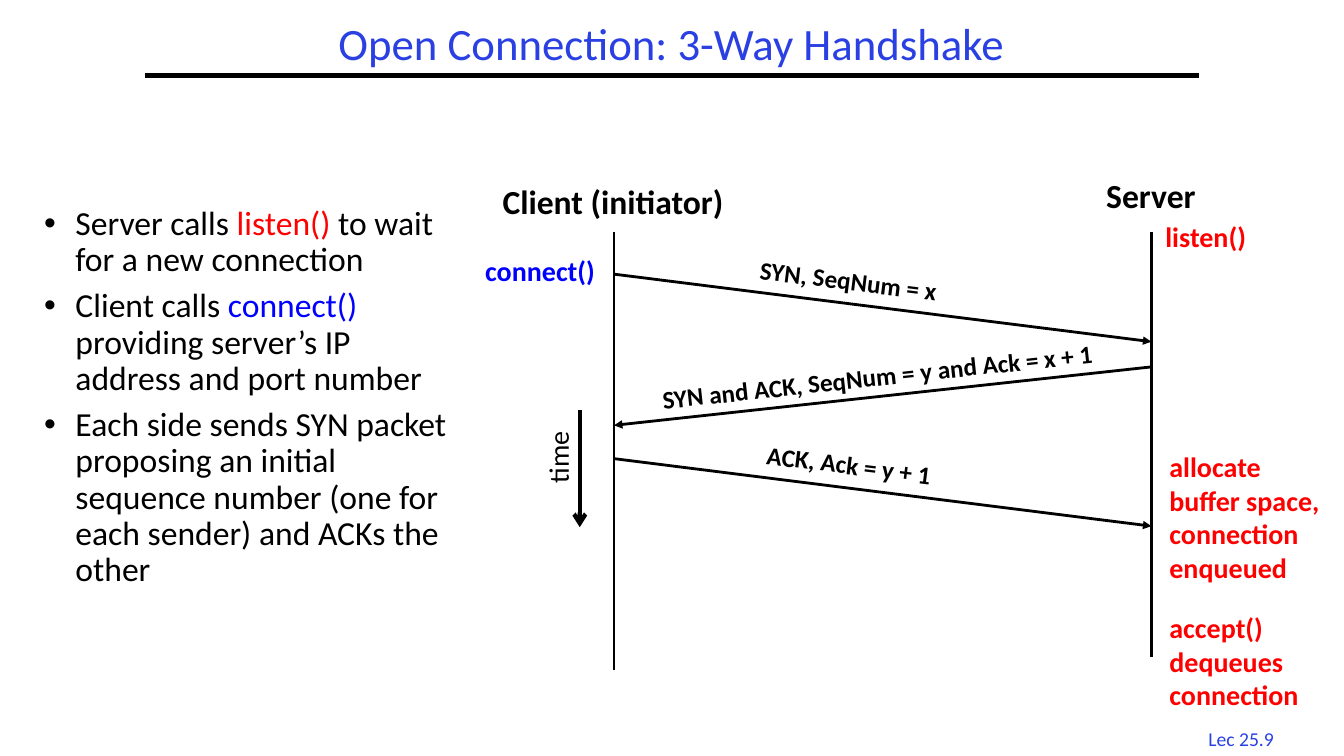
import pptx
import pptx.util
import pptx.dml.color
import pptx.enum.shapes
import pptx.enum.text
import pptx.oxml
import pptx.oxml.ns

Inches = pptx.util.Inches
Pt = pptx.util.Pt
ALIGN = pptx.enum.text.PP_ALIGN
COLORS = {"black": "000000", "red": "FF0000", "blue": "0000FF", "title": "2A40E2"}
CLIENT, SERVER = 6.09, 11.42


def color(name):
    """Return the named colour."""
    return pptx.dml.color.RGBColor.from_string(COLORS[name])


def add_xml(parent, tag, **attrs):
    """Append a drawing element to its parent."""
    node = pptx.oxml.parse_xml(f"<a:{tag} {pptx.oxml.ns.nsdecls('a')}/>")
    for key, value in attrs.items():
        node.set(key, value)
    parent.append(node)


def set_font(font, size, tint, bold=False):
    """Set face, size, colour and weight."""
    font.name, font.size, font.bold = "Calibri", Pt(size), bold
    font.color.rgb = color(tint)


def add_line(slide, start, end, width=2, head=None):
    """Draw a straight line, with an arrowhead if one is named."""
    points = [Inches(n) for n in start + end]
    line = slide.shapes.add_connector(pptx.enum.shapes.MSO_CONNECTOR.STRAIGHT, *points)
    line.line.color.rgb = color("black")
    line.line.width = Pt(width)
    if head:
        add_xml(line.line._get_or_add_ln(), "tailEnd", type=head)
    add_xml(line._element.spPr, "effectLst")


def add_label(slide, text, box, size, tint="black", bold=True,
              align=ALIGN.LEFT, turn=0, wrap=False):
    """Place a text label."""
    label = slide.shapes.add_textbox(*[Inches(n) for n in box])
    label.rotation = turn
    frame = label.text_frame
    frame.word_wrap = wrap
    frame.text = text
    for para in frame.paragraphs:
        para.alignment = align
        set_font(para.font, size, tint, bold)


def add_title(slide, text):
    """Fill the title and draw the rule below it."""
    title = slide.shapes.title
    title.left, title.top, title.width, title.height = [
        Inches(n) for n in (1.44, 0.17, 10.44, 0.58)]
    frame = title.text_frame
    frame.text = text
    frame.auto_size = pptx.enum.text.MSO_AUTO_SIZE.NONE
    frame.vertical_anchor = pptx.enum.text.MSO_ANCHOR.MIDDLE
    para = frame.paragraphs[0]
    para.alignment = ALIGN.CENTER
    para.line_spacing = 0.9
    set_font(para.font, 32, "title")
    add_line(slide, (1.44, 0.75), (11.89, 0.75), 3)


def add_list(slide, items, box):
    """Add bullets made of coloured runs."""
    frame = slide.shapes.add_textbox(*[Inches(n) for n in box]).text_frame
    frame.word_wrap = True
    for i, runs in enumerate(items):
        para = frame.add_paragraph() if i else frame.paragraphs[0]
        props = para._p.get_or_add_pPr()
        props.set("marL", str(Inches(0.31)))
        props.set("indent", str(-Inches(0.31)))
        para.line_spacing = 0.9
        para.space_before = Pt(7 if i else 0)
        add_xml(props, "buFont", typeface="Arial")
        add_xml(props, "buChar", char="•")
        set_font(para.font, 24, "black")
        for text, tint in runs:
            run = para.add_run()
            run.text = text
            set_font(run.font, 24, tint)


def main():
    """Build the handshake slide."""
    deck = pptx.Presentation()
    deck.slide_width, deck.slide_height = Inches(13.33), Inches(7.5)
    slide = deck.slides.add_slide(deck.slide_layouts.get_by_name("Title Only"))
    add_title(slide, "Open Connection: 3-Way Handshake")
    add_label(slide, "Lec 25.9", (11.77, 7.16, 1.08, 0.33), 14, "title", False, ALIGN.CENTER)
    add_list(slide, [
        [("Server calls ", "black"), ("listen() ", "red"),
         ("to wait for a new connection", "black")],
        [("Client calls ", "black"), ("connect() ", "blue"),
         ("providing server’s IP address and port number", "black")],
        [("Each side sends SYN packet proposing an initial sequence number "
          "(one for each sender) and ACKs the other", "black")],
    ], (0.34, 2, 4.22, 4.76))

    for text, box, x, foot in [
        ("Client (initiator)", (4.74, 1.75, 2.68, 0.5), CLIENT, 6.65),
        ("Server", (10.79, 1.69, 1.25, 0.5), SERVER, 6.52),
    ]:
        add_line(slide, (x, 2.3), (x, foot))
        add_label(slide, text, box, 24, align=ALIGN.CENTER)

    for text, start, end, box, turn in [
        ("SYN, SeqNum = x", (CLIENT, 2.72), (SERVER, 3.39), (7.26, 2.58, 2.31, 0.4), 7.2),
        ("SYN and ACK, SeqNum = y and Ack = x + 1", (SERVER, 3.64), (CLIENT, 4.22),
         (6.03, 3.53, 5.34, 0.4), 353.7),
        ("ACK, Ack = y + 1", (CLIENT, 4.55), (SERVER, 5.22), (7.32, 4.41, 2.2, 0.4), 7.2),
    ]:
        add_line(slide, start, end, head="triangle")
        add_label(slide, text, box, 18, align=ALIGN.CENTER, turn=turn)

    add_label(slide, "connect()", (4.54, 2.47, 1.46, 0.43), 20, "blue", align=ALIGN.RIGHT)
    add_label(slide, "listen()", (11.46, 2.13, 1.12, 0.43), 20, "red")
    add_label(slide, "allocate\vbuffer space,\nconnection\venqueued",
              (11.5, 4.41, 1.94, 1.44), 20, "red")
    add_label(slide, "accept() dequeues connection", (11.5, 6.01, 1.74, 1.11), 20, "red",
              wrap=True)
    add_label(slide, "time", (5.17, 4.31, 0.73, 0.44), 20, bold=False, turn=270)
    add_line(slide, (5.75, 4.07), (5.75, 5.23), 3, "arrow")
    deck.save("out.pptx")


if __name__ == "__main__":
    main()
